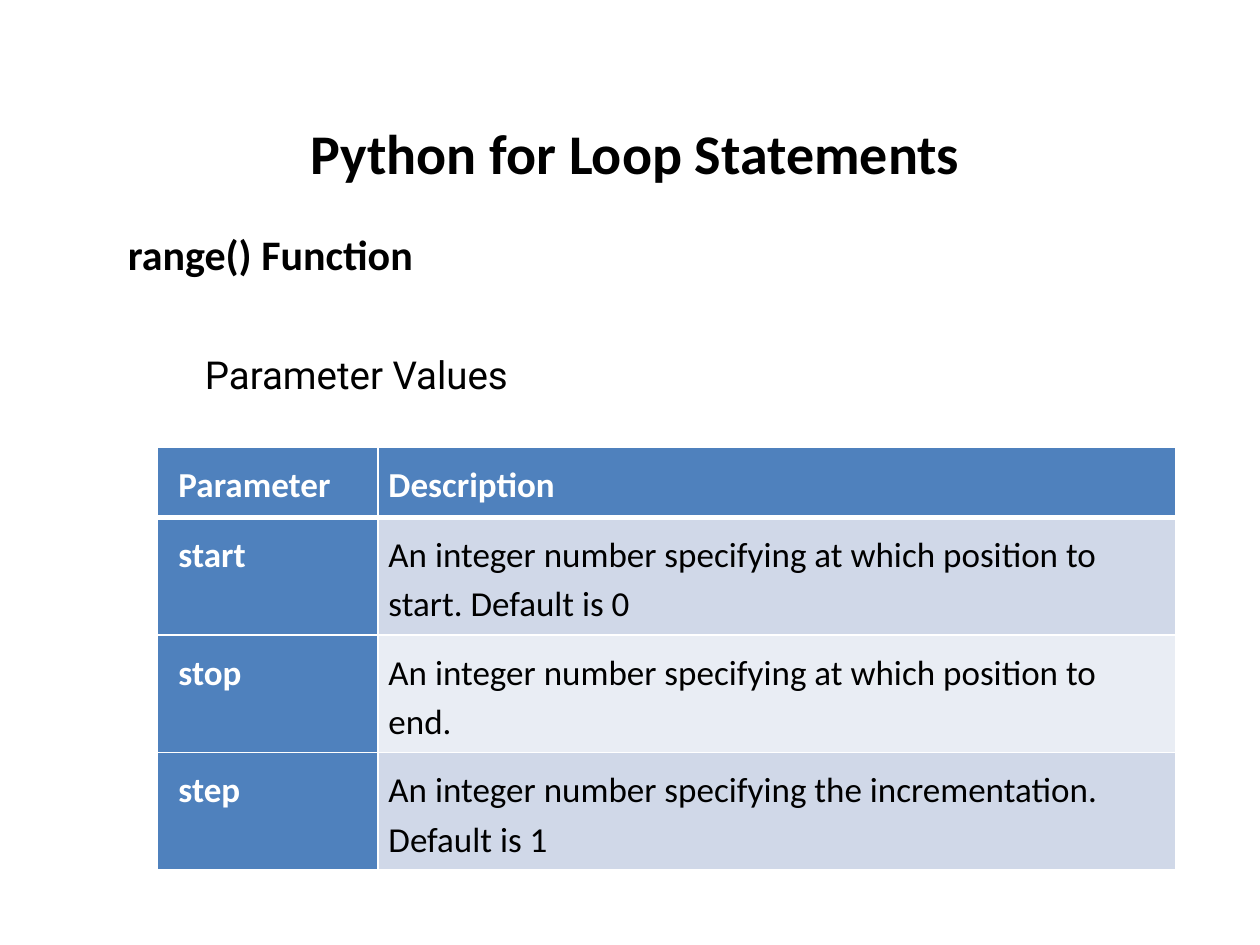
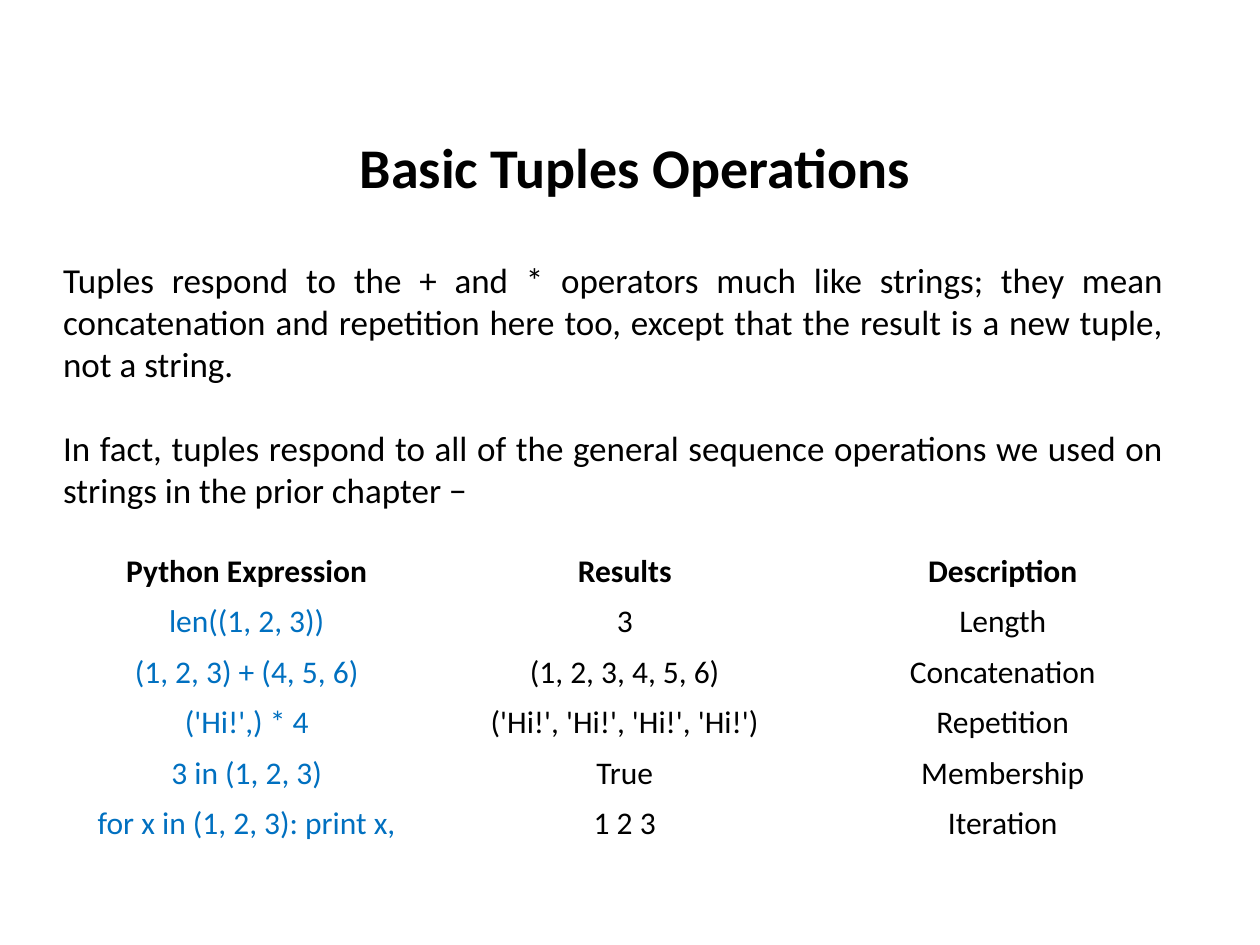
from dataclasses import dataclass

from lxml.etree import SubElement
from pptx import Presentation
from pptx.dml.color import RGBColor
from pptx.enum.text import MSO_ANCHOR as Anchor, PP_ALIGN as Align
from pptx.oxml.ns import qn
from pptx.util import Pt


@dataclass(frozen=True)
class Theme:
    body_font: str = "Calibri"
    label_font: str = "Roboto"
    black: str = "000000"
    white: str = "FFFFFF"
    header: str = "4F81BD"
    bands: tuple = ("D0D8E8", "E9EDF4")
    code: str = "0070C0"
    title_size: int = 32
    heading_size: int = 24
    label_size: int = 22
    body_size: int = 20
    grid_size: int = 18


THEME = Theme()

PARAMETERS = [
    ("Parameter", "Description"),
    ("start", "An integer number specifying at which position to start. Default is 0"),
    ("stop", "An integer number specifying at which position to end."),
    ("step", "An integer number specifying the incrementation. Default is 1"),
]
TUPLE_TEXT = [
    "Tuples respond to the + and * operators much like strings; they mean "
    "concatenation and repetition here too, except that the result is a new "
    "tuple, not a string.",
    "In fact, tuples respond to all of the general sequence operations we used "
    "on strings in the prior chapter −",
]
OPERATIONS = [
    ("Python Expression", "Results", "Description"),
    ("len((1, 2, 3))", "3", "Length"),
    ("(1, 2, 3) + (4, 5, 6)", "(1, 2, 3, 4, 5, 6)", "Concatenation"),
    ("('Hi!',) * 4", "('Hi!', 'Hi!', 'Hi!', 'Hi!')", "Repetition"),
    ("3 in (1, 2, 3)", "True", "Membership"),
    ("for x in (1, 2, 3): print x,", "1 2 3", "Iteration"),
]


def style_paragraph(paragraph, size, color=THEME.black, bold=False,
                    align=Align.LEFT, font=THEME.body_font):
    paragraph.alignment = align
    paragraph.font.name = font
    paragraph.font.size = Pt(size)
    paragraph.font.bold = bold
    paragraph.font.color.rgb = RGBColor.from_string(color)


def add_titled_slide(presentation, text, top):
    slide = presentation.slides.add_slide(presentation.slide_layouts[5])
    title = slide.shapes.title
    title.left, title.top, title.width, title.height = map(Pt, (30, top, 666, 46))
    title.text_frame.text = text
    title.text_frame.vertical_anchor = Anchor.TOP
    style_paragraph(title.text_frame.paragraphs[0], THEME.title_size,
                    bold=True, align=Align.CENTER)
    return slide


def add_text(slide, box, texts, size, gap=0, **style):
    """Add one paragraph per text, with gap points between them."""
    frame = slide.shapes.add_textbox(*map(Pt, box)).text_frame
    frame.word_wrap = True
    for index, text in enumerate(texts):
        paragraph = frame.add_paragraph() if index else frame.paragraphs[0]
        paragraph.text = text
        paragraph.space_before = Pt(gap if index else 0)
        style_paragraph(paragraph, size, **style)


def add_table(slide, box, rows, column_widths, row_heights):
    shape = slide.shapes.add_table(len(rows), len(rows[0]), *map(Pt, box))
    table = shape.table
    for column, width in zip(table.columns, column_widths):
        column.width = Pt(width)
    for table_row, height, texts in zip(table.rows, row_heights, rows):
        table_row.height = Pt(height)
        for cell, text in zip(table_row.cells, texts):
            cell.text = text
    return table


def set_borders(cell, color, **widths):
    """Draw the named sides (L, R, T, B), each with its width in points."""
    properties = cell._tc.get_or_add_tcPr()
    for index, (side, width) in enumerate(widths.items()):
        line = SubElement(properties, qn(f"a:ln{side}"), w=str(Pt(width)))
        fill = SubElement(line, qn("a:solidFill"))
        SubElement(fill, qn("a:srgbClr"), val=color)
        properties.insert(index, line)


def add_parameter_table(slide, box):
    left, top, width, height = box
    name_width, header_height = 126, 40
    body_rows = len(PARAMETERS) - 1
    row_height = (height - header_height) / body_rows
    table = add_table(slide, box, PARAMETERS, (name_width, width - name_width),
                      [header_height] + [row_height] * body_rows)
    for row, table_row in enumerate(table.rows):
        for column, cell in enumerate(table_row.cells):
            heading = row == 0 or column == 0
            fill = THEME.header if heading else THEME.bands[(row - 1) % 2]
            cell.fill.solid()
            cell.fill.fore_color.rgb = RGBColor.from_string(fill)
            cell.margin_left = Pt(6 if column else 12)
            cell.margin_right = cell.margin_top = cell.margin_bottom = Pt(6)
            paragraph = cell.text_frame.paragraphs[0]
            paragraph.line_spacing = 1.15
            style_paragraph(paragraph, THEME.body_size, bold=heading,
                            color=THEME.white if heading else THEME.black)
            set_borders(cell, THEME.white, L=1, R=1,
                        T=3 if row == 1 else 1, B=1 if row else 3)


def add_operation_table(slide, box):
    left, top, width, height = box
    columns, rows = len(OPERATIONS[0]), len(OPERATIONS)
    table = add_table(slide, box, OPERATIONS, [width / columns] * columns,
                      [height / rows] * rows)
    table.first_row = table.horz_banding = False
    for row, table_row in enumerate(table.rows):
        for column, cell in enumerate(table_row.cells):
            cell.fill.background()
            cell.vertical_anchor = Anchor.MIDDLE
            is_code = row > 0 and column == 0
            style_paragraph(cell.text_frame.paragraphs[0], THEME.grid_size,
                            color=THEME.code if is_code else THEME.black,
                            bold=row == 0, align=Align.CENTER)


def add_range_slide(presentation):
    slide = add_titled_slide(presentation, "Python for Loop Statements", 64)
    add_text(slide, (66, 127, 606, 37), ["range() Function"],
             THEME.heading_size, bold=True)
    add_parameter_table(slide, (90, 255.6, 582, 241))
    add_text(slide, (110, 197, 326, 34), ["Parameter Values"],
             THEME.label_size, font=THEME.label_font)


def add_tuple_slide(presentation):
    slide = add_titled_slide(presentation, "Basic Tuples Operations", 72)
    add_text(slide, (29, 144, 643, 153), TUPLE_TEXT, THEME.body_size,
             gap=24, align=Align.JUSTIFY)
    add_operation_table(slide, (33, 312, 648, 173))


def main():
    presentation = Presentation()
    presentation.slide_width, presentation.slide_height = Pt(720), Pt(540)
    add_range_slide(presentation)
    add_tuple_slide(presentation)
    presentation.save("out.pptx")


if __name__ == "__main__":
    main()
